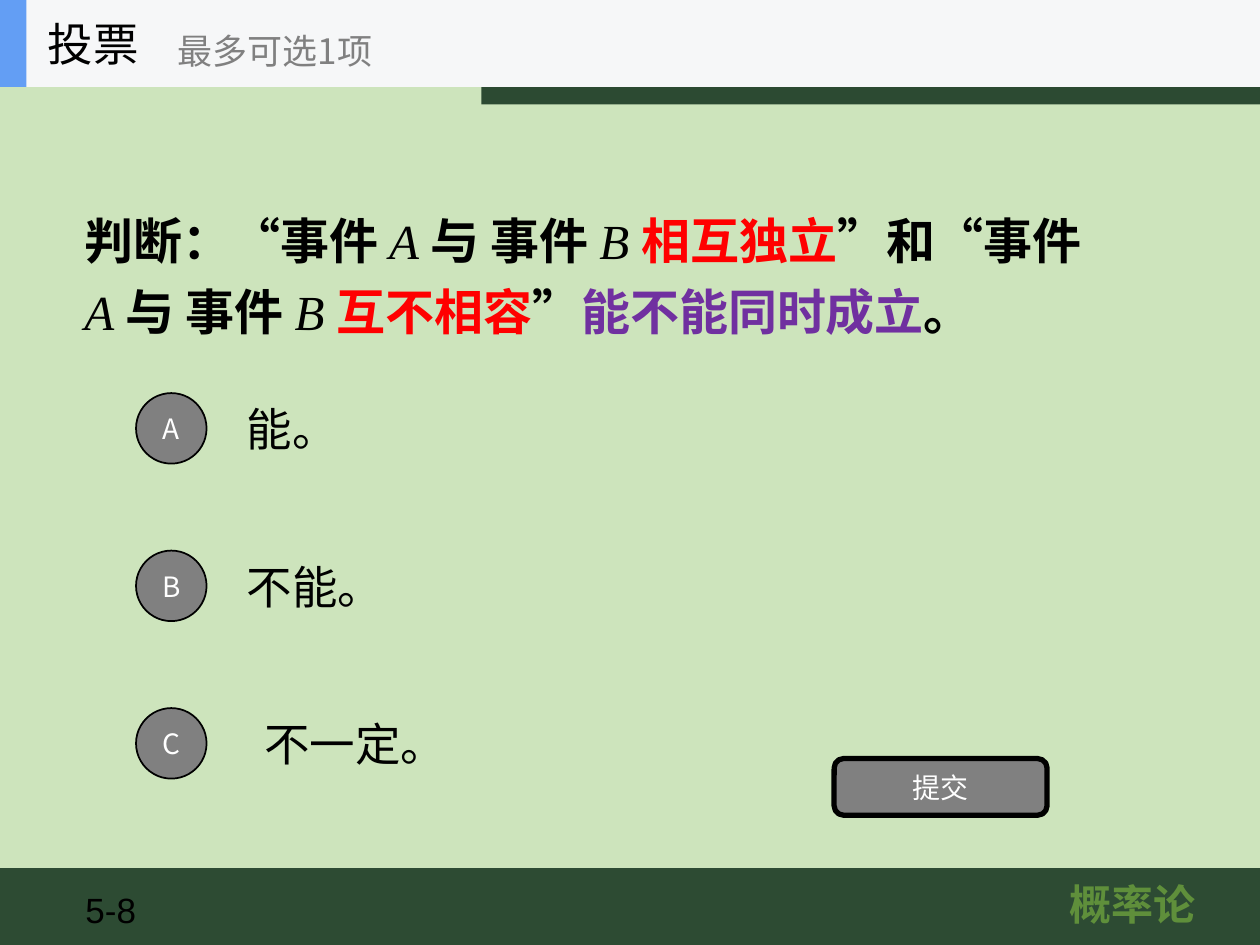
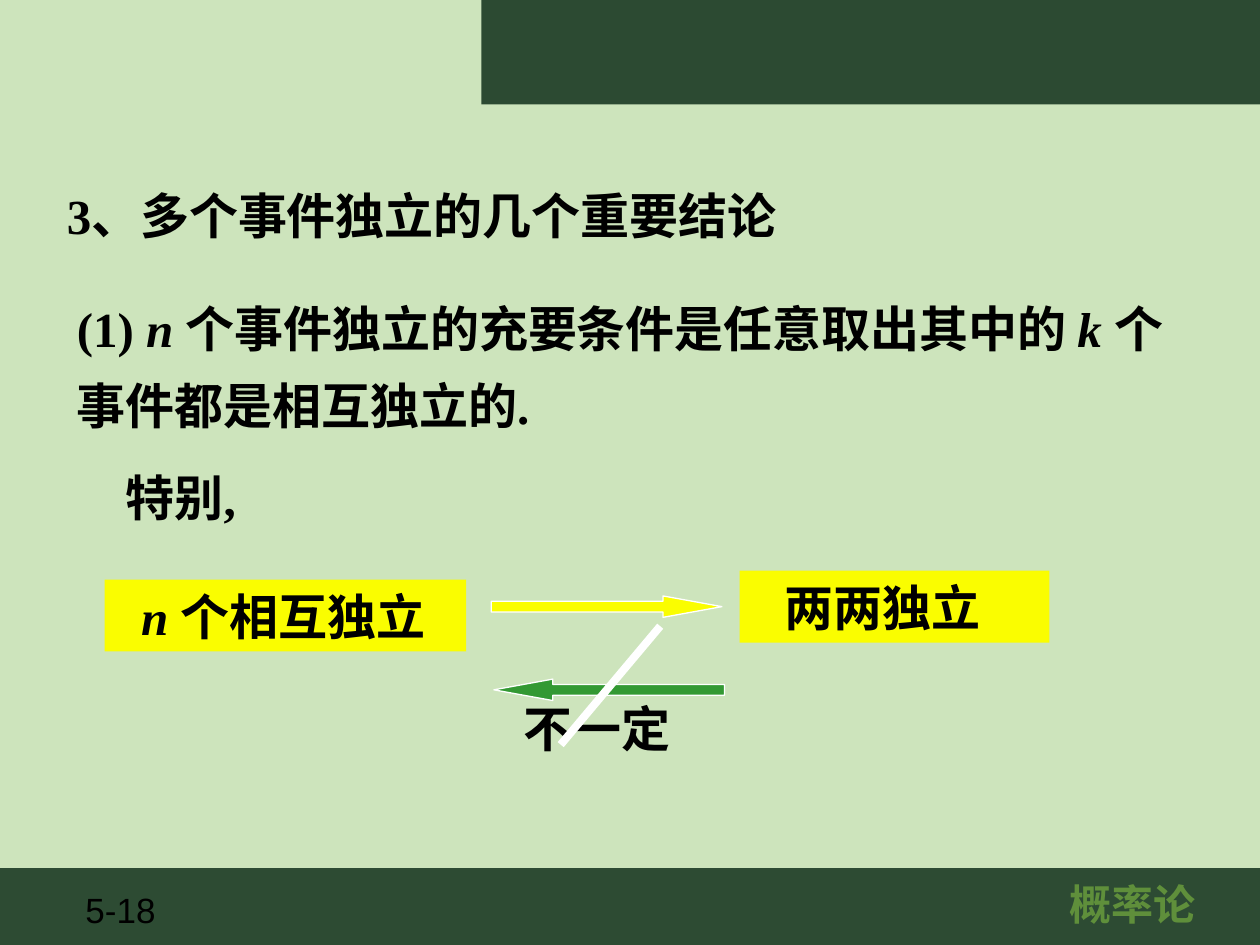
from lxml.etree import SubElement
from pptx import Presentation
from pptx.dml.color import RGBColor
from pptx.enum.shapes import MSO_CONNECTOR as Connector, MSO_SHAPE as Preset
from pptx.enum.text import MSO_ANCHOR as Anchor, MSO_AUTO_SIZE as AutoSize, PP_ALIGN as Align
from pptx.oxml.ns import qn
from pptx.util import Inches, Pt

COLUMNS, ROWS = 100, 75
WIDTH, HEIGHT = Inches(10), Inches(7.5)
SANS, SERIF, FOOTER_FONT = "Noto Sans CJK SC", "Times New Roman", "Arial"
BLACK, WHITE, GREY, RED, PURPLE = "000000", "FFFFFF", "808080", "FF0000", "7030A0"
PAPER, FOOTER_GREEN, BAND_GREEN, COURSE_GREEN = "CDE4BC", "2D4B33", "2C4A32", "5F8F3B"
YELLOW, ARROW_GREEN = "FAFD00", "339933"
HEADER_GREY, HEADER_BLUE = "F6F7F8", "639EF4"
UPRIGHT = {"bold": True}
SLANTED = {"bold": True, "italic": True}
SYMBOL = {"bold": False, "italic": True}


def rgb(hex_code):
    """Turn a hex string into a colour."""
    return RGBColor.from_string(hex_code)


def grid(column, row, columns, rows):
    """Turn grid columns and rows into slide lengths."""
    return (int(WIDTH * column / COLUMNS), int(HEIGHT * row / ROWS),
            int(WIDTH * columns / COLUMNS), int(HEIGHT * rows / ROWS))


def format_run(run, font, size, color=BLACK, bold=False, italic=False):
    """Give a run its typeface, size, colour and weight."""
    run.font.name, run.font.size = font, Pt(size)
    run.font.bold, run.font.italic = bold, italic
    run.font.color.rgb = rgb(color)
    SubElement(run.font._element, qn("a:ea")).set("typeface", SANS)


def write(holder, pieces, font=SANS, size=28, align=Align.LEFT, anchor=Anchor.MIDDLE,
          spacing=None, margin=0.1, **look):
    """Fill a holder with one paragraph; a piece is text with its own look."""
    frame = holder.text_frame
    frame.word_wrap, frame.auto_size = True, AutoSize.NONE
    frame.vertical_anchor = anchor
    frame.margin_left, frame.margin_right = Inches(margin), Inches(0.1)
    frame.margin_top = frame.margin_bottom = Inches(0.05)
    paragraph = frame.paragraphs[0]
    paragraph.alignment, paragraph.space_before = align, Pt(0)
    if spacing:
        paragraph.line_spacing = spacing
    for words, own_look in [(pieces, {})] if isinstance(pieces, str) else pieces:
        run = paragraph.add_run()
        run.text = words
        format_run(run, font, size, **{**look, **own_look})


def add_label(slide, place, pieces, **style):
    """Add a text box on the grid."""
    write(slide.shapes.add_textbox(*grid(*place)), pieces, **style)


def add_block(slide, preset, place, fill, outline=None, weight=1):
    """Add a filled preset shape, outlined on request."""
    block = slide.shapes.add_shape(preset, *grid(*place))
    block.shadow.inherit = False
    block.fill.solid()
    block.fill.fore_color.rgb = rgb(fill)
    if outline:
        block.line.color.rgb = rgb(outline)
        block.line.width = Pt(weight)
    else:
        block.line.fill.background()
    return block


def add_arrow(slide, preset, place, fill, head):
    """Add a thin block arrow with a long head."""
    arrow = add_block(slide, preset, place, fill, WHITE, 0.75)
    arrow.adjustments[0], arrow.adjustments[1] = 0.5, head


def add_stroke(slide, start, end, color, weight):
    """Add a straight line between two grid points."""
    stroke = slide.shapes.add_connector(Connector.STRAIGHT, *grid(*start, *end))
    stroke.line.color.rgb = rgb(color)
    stroke.line.width = Pt(weight)
    SubElement(stroke.element.spPr, qn("a:effectLst"))


def fill_placeholder(slide, index, place, pieces, **style):
    """Move a placeholder to the front, drop its bullet and write in it."""
    holder = slide.placeholders[index]
    holder.left, holder.top, holder.width, holder.height = grid(*place)
    slide.shapes.element.append(holder.element)
    properties = holder.text_frame.paragraphs[0]._p.get_or_add_pPr()
    properties.set("marL", "0")
    properties.set("indent", "0")
    SubElement(properties, qn("a:buNone"))
    write(holder, pieces, **style)


def add_course_slide(deck, page):
    """Add a slide with the course bands and footer."""
    slide = deck.slides.add_slide(deck.slide_layouts[1])
    add_block(slide, Preset.RECTANGLE, (0, 68.9, 100, 6.1), FOOTER_GREEN)
    add_label(slide, (5.8, 70, 12, 4.3), page, font=FOOTER_FONT, size=20, anchor=Anchor.TOP)
    add_label(slide, (79.7, 69.2, 20.3, 5), "概率论", font=FOOTER_FONT, size=24,
              align=Align.CENTER, anchor=Anchor.TOP, color=COURSE_GREEN, bold=True)
    add_block(slide, Preset.RECTANGLE, (38.2, 0, 61.8, 8.3), BAND_GREEN)
    return slide


def add_option(slide, order, letter, answer, column):
    """Add a lettered circle and its answer in the given order."""
    row = 30.5 + 12.5 * order
    add_label(slide, (column, row, 70, 7), answer, size=26)
    circle = add_block(slide, Preset.OVAL, (10.8, row + 0.7, 5.6, 5.6), GREY, BLACK)
    write(circle, letter, size=16, align=Align.CENTER, color=WHITE)


def build_vote(deck):
    """Build the vote on independent and exclusive events."""
    slide = add_course_slide(deck, "5-8")
    options = (("A", "能。", 18.6), ("B", "不能。", 18.6), ("C", "不一定。", 20))
    for order, option in enumerate(options):
        add_option(slide, order, *option)
    submit = add_block(slide, Preset.ROUNDED_RECTANGLE, (66.2, 60.2, 16.9, 4.5), GREY, BLACK, 3)
    write(submit, "提交", size=16, align=Align.CENTER, color=WHITE)
    question = [
        ("判断：“事件 ", {}), ("A ", SYMBOL), ("与 事件 ", {}), ("B ", SYMBOL),
        ("相互独立", {"color": RED}), ("”和“事件 ", {}), ("A ", SYMBOL),
        ("与 事件 ", {}), ("B ", SYMBOL), ("互不相容", {"color": RED}), ("”", {}),
        ("能不能同时成立", {"color": PURPLE}), ("。", {})]
    fill_placeholder(slide, 1, (5.7, 15.3, 84.3, 12.2), question, font=SERIF,
                     anchor=Anchor.TOP, spacing=1.2, **UPRIGHT)
    add_block(slide, Preset.RECTANGLE, (0, 0, 100, 6.9), HEADER_GREY)
    add_block(slide, Preset.RECTANGLE, (0, 0, 2.1, 6.9), HEADER_BLUE)
    fill_placeholder(slide, 0, (2.8, 0, 20.8, 6.9), "投票", size=26)
    add_label(slide, (13.1, 1.2, 25, 5.6), "最多可选1项", size=20, color=GREY)


def build_conclusions(deck):
    """Build the conclusions on the independence of several events."""
    slide = add_course_slide(deck, "5-18")
    serif = {"font": SERIF, **UPRIGHT}
    pairwise = add_block(slide, Preset.RECTANGLE, (58.7, 45.3, 24.6, 5.7), YELLOW)
    write(pairwise, "两两独立", margin=0.36, **serif)
    mutual = add_block(slide, Preset.RECTANGLE, (8.3, 46, 28.7, 5.7), YELLOW)
    write(mutual, [("n ", SLANTED), ("个相互独立", {})], margin=0.29, **serif)
    add_arrow(slide, Preset.RIGHT_ARROW, (39, 47.3, 18.3, 1.7), YELLOW, 2.75)
    add_label(slide, (9, 36.6, 38, 5.7), "特别,", **serif)
    add_arrow(slide, Preset.LEFT_ARROW, (39.2, 53.9, 18.3, 1.7), ARROW_GREEN, 2.75)
    add_label(slide, (40.6, 54.9, 26.1, 5.7), "不一定", **serif)
    add_stroke(slide, (52.4, 49.7), (44.5, 59.1), WHITE, 4.5)
    condition = [("(1)", {}), (" n ", SLANTED), ("个事件独立的充要条件是任意取出其中的 ", {}),
                 ("k ", SLANTED), ("个事件都是相互独立的.", {})]
    fill_placeholder(slide, 1, (5.1, 21.8, 91.3, 13.2), condition, spacing=1.3, **serif)
    fill_placeholder(slide, 0, (4.3, 15.9, 80.3, 3.8), "3、多个事件独立的几个重要结论",
                     spacing=0.6, **serif)


def main():
    """Build and save the deck."""
    deck = Presentation()
    deck.slide_width, deck.slide_height = WIDTH, HEIGHT
    backdrop = deck.slide_master.background.fill
    backdrop.solid()
    backdrop.fore_color.rgb = rgb(PAPER)
    build_vote(deck)
    build_conclusions(deck)
    deck.save("out.pptx")


if __name__ == "__main__":
    main()
